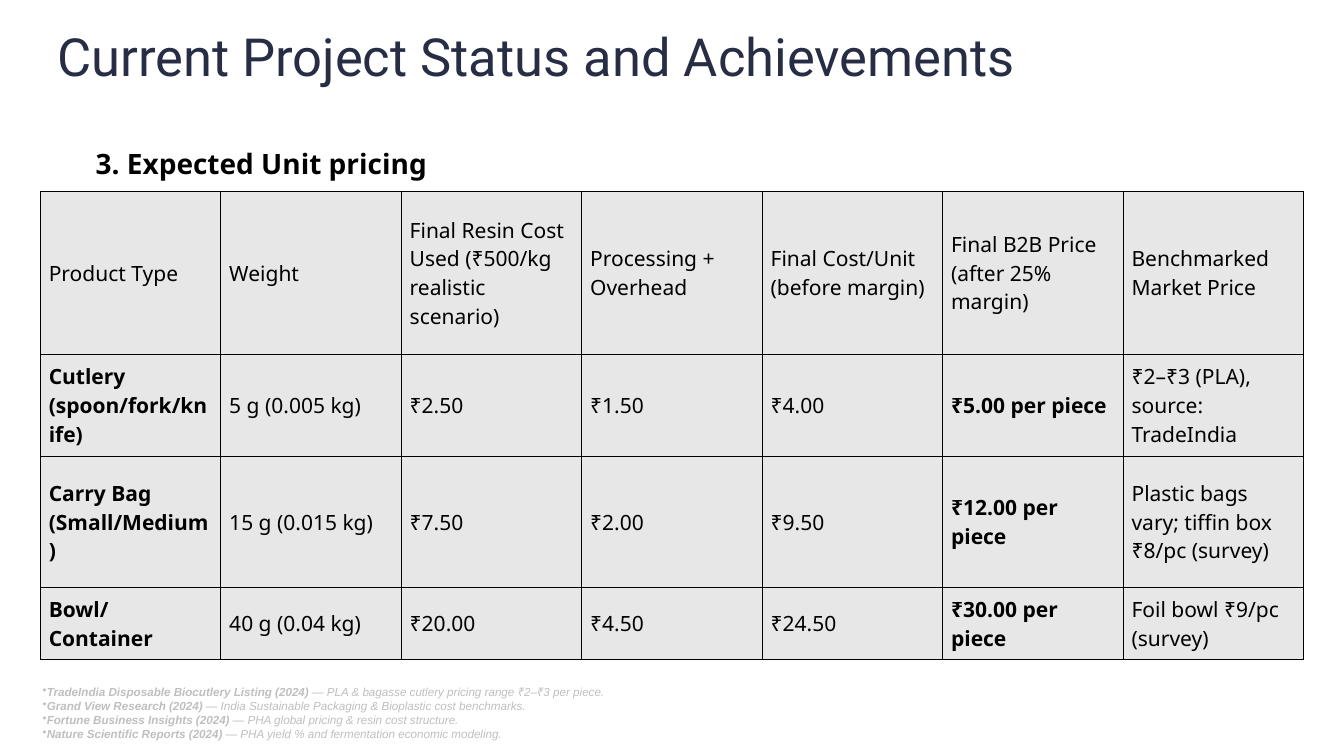
import dataclasses
import typing

import lxml.etree
import pptx
import pptx.dml.color
import pptx.enum.text
import pptx.oxml.ns
import pptx.util

Format = dict[str, typing.Any]


@dataclasses.dataclass(frozen=True)
class Theme:
    background: str = "FFFFFF"
    title: str = "272D45"
    ink: str = "000000"
    cell: str = "E7E7E7"
    footnote: str = "BFBFBF"
    title_size: float = 45
    heading_size: float = 24
    table_size: float = 18
    footnote_size: float = 10
    title_font: str = "Roboto"
    body_font: str = "Noto Sans"
    footnote_font: str = "Arial"


@dataclasses.dataclass(frozen=True)
class Box:
    left: float
    top: float
    width: float
    height: float

    def lengths(self) -> list[pptx.util.Pt]:
        return [pptx.util.Pt(value) for value in dataclasses.astuple(self)]


@dataclasses.dataclass(frozen=True)
class Product:
    name: str
    weight: str
    resin_cost: str
    processing: str
    unit_cost: str
    price: str
    benchmark: str


@dataclasses.dataclass(frozen=True)
class Source:
    name: str
    finding: str


THEME = Theme()
TABLE_BOX = Box(34.6, 164.2, 1082.9, 401)
ROW_HEIGHTS = [139.7, 87.1, 113, 61.2]
BOLD_COLUMNS = (0, 5)
PRODUCTS = [
    Product("Product Type", "Weight", "Final Resin Cost Used (₹500/kg realistic scenario)",
            "Processing + Overhead", "Final Cost/Unit (before margin)",
            "Final B2B Price (after 25% margin)", "Benchmarked Market Price"),
    Product("Cutlery (spoon/fork/knife)", "5 g (0.005 kg)", "₹2.50", "₹1.50", "₹4.00",
            "₹5.00 per piece", "₹2–₹3 (PLA), source: TradeIndia"),
    Product("Carry Bag (Small/Medium)", "15 g (0.015 kg)", "₹7.50", "₹2.00", "₹9.50",
            "₹12.00 per piece", "Plastic bags vary; tiffin box ₹8/pc (survey)"),
    Product("Bowl/Container", "40 g (0.04 kg)", "₹20.00", "₹4.50", "₹24.50",
            "₹30.00 per piece", "Foil bowl ₹9/pc (survey)"),
]
SOURCES = [
    Source("TradeIndia Disposable Biocutlery Listing (2024)",
           " — PLA & bagasse cutlery pricing range ₹2–₹3 per piece."),
    Source("Grand View Research (2024)",
           " — India Sustainable Packaging & Bioplastic cost benchmarks."),
    Source("Fortune Business Insights (2024)", " — PHA global pricing & resin cost structure."),
    Source("Nature Scientific Reports (2024)",
           " — PHA yield % and fermentation economic modeling."),
]


def color(value: str) -> pptx.dml.color.RGBColor:
    return pptx.dml.color.RGBColor.from_string(value)


def apply(target: typing.Any, values: Format) -> None:
    for name, value in values.items():
        setattr(target, name, value)


def font_format(name: str, size: float, bold: bool = False, italic: bool = False) -> Format:
    return {"name": name, "size": pptx.util.Pt(size), "bold": bold, "italic": italic}


def add_run(paragraph: typing.Any, text: str, ink: str, values: Format) -> None:
    run = paragraph.add_run()
    run.text = text
    apply(run.font, values)
    run.font.color.rgb = color(ink)


def add_text_frame(slide: typing.Any, box: Box, values: Format) -> typing.Any:
    frame = slide.shapes.add_textbox(*box.lengths()).text_frame
    apply(frame, {"word_wrap": True} | values)
    return frame


def add_bullet(paragraph: typing.Any) -> None:
    properties = paragraph._p.get_or_add_pPr()
    properties.set("marL", "0")
    properties.set("indent", "0")
    bullet = lxml.etree.SubElement(properties, pptx.oxml.ns.qn("a:buChar"))
    bullet.set("char", "•")


def add_borders(cell: typing.Any) -> None:
    properties = cell._tc.get_or_add_tcPr()
    for side in ("lnL", "lnR", "lnT", "lnB"):
        line = lxml.etree.SubElement(properties, pptx.oxml.ns.qn(f"a:{side}"))
        line.set("w", str(int(pptx.util.Pt(1))))
        fill = lxml.etree.SubElement(line, pptx.oxml.ns.qn("a:solidFill"))
        lxml.etree.SubElement(fill, pptx.oxml.ns.qn("a:srgbClr")).set("val", THEME.ink)


def add_headings(slide: typing.Any) -> None:
    margins = dict.fromkeys(("margin_left", "margin_top", "margin_right", "margin_bottom"), 0)
    title = add_text_frame(slide, Box(49, 33.8, 877.7, 52.6), margins | {"word_wrap": False})
    title.paragraphs[0].line_spacing = pptx.util.Pt(40.5)
    add_run(title.paragraphs[0], "Current Project Status and Achievements", THEME.title,
            font_format(THEME.title_font, THEME.title_size))
    heading = add_text_frame(slide, Box(74.9, 108, 1001.5, 45.4), {})
    heading.paragraphs[0].line_spacing = 1.5
    add_run(heading.paragraphs[0], "3. Expected Unit pricing", THEME.ink,
            font_format(THEME.body_font, THEME.heading_size, bold=True))


def add_price_table(slide: typing.Any) -> None:
    column_count = len(dataclasses.fields(Product))
    table = slide.shapes.add_table(len(PRODUCTS), column_count, *TABLE_BOX.lengths()).table
    apply(table, {"first_row": False, "horz_banding": False})
    for column in table.columns:
        column.width = pptx.util.Pt(TABLE_BOX.width / column_count)
    for row_index, (product, height) in enumerate(zip(PRODUCTS, ROW_HEIGHTS)):
        table.rows[row_index].height = pptx.util.Pt(height)
        for column_index, text in enumerate(dataclasses.astuple(product)):
            cell = table.cell(row_index, column_index)
            cell.vertical_anchor = pptx.enum.text.MSO_ANCHOR.MIDDLE
            add_borders(cell)
            cell.fill.solid()
            cell.fill.fore_color.rgb = color(THEME.cell)
            bold = row_index > 0 and column_index in BOLD_COLUMNS
            add_run(cell.text_frame.paragraphs[0], text, THEME.ink,
                    font_format(THEME.body_font, THEME.table_size, bold))


def add_sources(slide: typing.Any) -> None:
    frame = add_text_frame(slide, Box(29.5, 583.2, 1046.2, 55.4),
                           {"vertical_anchor": pptx.enum.text.MSO_ANCHOR.MIDDLE})
    for index, source in enumerate(SOURCES):
        paragraph = frame.add_paragraph() if index else frame.paragraphs[0]
        add_bullet(paragraph)
        for text, bold in ((source.name, True), (source.finding, False)):
            add_run(paragraph, text, THEME.footnote,
                    font_format(THEME.footnote_font, THEME.footnote_size, bold, italic=True))


def main() -> None:
    presentation = pptx.Presentation()
    apply(presentation, {"slide_width": pptx.util.Pt(1152), "slide_height": pptx.util.Pt(648)})
    slide = presentation.slides.add_slide(presentation.slide_layouts[6])
    slide.background.fill.solid()
    slide.background.fill.fore_color.rgb = color(THEME.background)
    add_headings(slide)
    add_price_table(slide)
    add_sources(slide)
    presentation.save("out.pptx")


if __name__ == "__main__":
    main()
